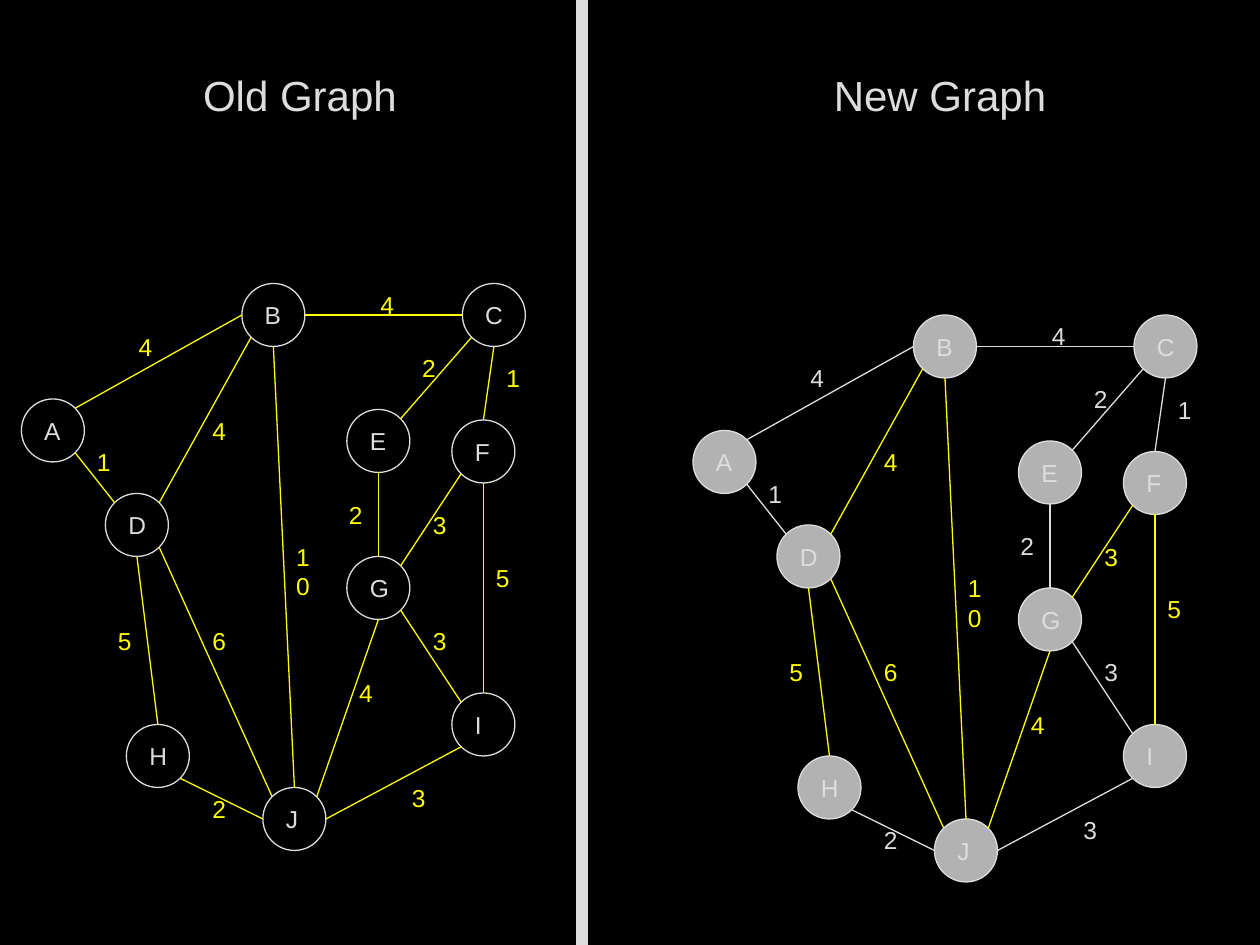
import math
import pptx
import pptx.dml.color
import pptx.enum.shapes
import pptx.enum.text
import pptx.oxml
import pptx.util
from pptx.util import Inches

BLACK = pptx.dml.color.RGBColor(0x00, 0x00, 0x00)
PALE = pptx.dml.color.RGBColor(0xDD, 0xDD, 0xDD)
GRAY = pptx.dml.color.RGBColor(0xB2, 0xB2, 0xB2)
YELLOW = pptx.dml.color.RGBColor(0xFF, 0xFF, 0x00)

UNIT = Inches(1) / 12
DIAMETER = Inches(0.5)
SITES = ["top", "top left", "left", "bottom left",
         "bottom", "bottom right", "right", "top right"]

# name: column, row, letter width
NODES = {
    "A": (0, 11, 0.34), "B": (21, 0, 0.33), "C": (42, 0, 0.33),
    "D": (8, 20, 0.34), "E": (31, 12, 0.32), "F": (41, 13, 0.31),
    "G": (31, 26, 0.34), "H": (10, 42, 0.34), "I": (41, 39, 0.27),
    "J": (23, 48, 0.28),
}

EDGES = [
    ("B", "right", "C", "left", "4", 33, 0),
    ("B", "bottom left", "D", "top right", "4", 17, 12),
    ("D", "bottom right", "J", "top left", "6", 17, 32),
    ("J", "top right", "G", "bottom", "4", 31, 37),
    ("F", "bottom left", "G", "top right", "3", 38, 21),
    ("E", "bottom", "G", "top", "2", 30, 20),
    ("B", "bottom", "J", "top", "10", 25, 24),
    ("C", "bottom left", "E", "top right", "2", 37, 6),
    ("C", "bottom", "F", "top", "1", 45, 7),
    ("J", "right", "I", "bottom left", "3", 36, 47),
    ("J", "left", "H", "bottom right", "2", 17, 48),
    ("D", "top left", "A", "bottom right", "1", 6, 15),
    ("I", "top left", "G", "bottom right", "3", 38, 32),
    ("F", "bottom", "I", "top", "5", 44, 26),
    ("A", "top right", "B", "left", "4", 10, 4),
    ("D", "bottom", "H", "top", "5", 8, 32),
]
ALL_EDGES = {edge[0] + edge[2] for edge in EDGES}
REMAINING_EDGES = {"BD", "DJ", "JG", "FG", "BJ", "FI", "DH"}


def add_text(slide, text, left, top, width, height, size, color, wrap=False):
    box = slide.shapes.add_textbox(round(left), round(top), width, height)
    frame = box.text_frame
    frame.text = text
    frame.word_wrap = wrap
    frame.auto_size = pptx.enum.text.MSO_AUTO_SIZE.SHAPE_TO_FIT_TEXT
    font = frame.paragraphs[0].runs[0].font
    font.name = "Arial"
    font.size = pptx.util.Pt(size)
    font.color.rgb = color
    return frame.paragraphs[0]


def add_heading(slide, text, left, top):
    heading = add_text(slide, text, left, top, Inches(2.92), Inches(0.5),
                       24, PALE, wrap=True)
    heading.alignment = pptx.enum.text.PP_ALIGN.CENTER


def add_outlined(slide, kind, left, top, width, height, fill):
    shape = slide.shapes.add_shape(kind, round(left), round(top), width, height)
    shape.shadow.inherit = False
    if fill is None:
        shape.fill.background()
    else:
        shape.fill.solid()
        shape.fill.fore_color.rgb = fill
    shape.line.color.rgb = PALE
    shape.line.width = pptx.util.Pt(0.75)


def site_point(left, top, node, site):
    column, row, _ = NODES[node]
    angle = math.radians(90 + 45 * SITES.index(site))
    radius = DIAMETER / 2
    return (round(left + column * UNIT + radius * (1 + math.cos(angle))),
            round(top + row * UNIT + radius * (1 - math.sin(angle))))


def add_edge(slide, start, end, color):
    edge = slide.shapes.add_connector(
        pptx.enum.shapes.MSO_CONNECTOR.STRAIGHT, *start, *end)
    edge.line.color.rgb = color
    edge.line.width = pptx.util.Pt(0.75)
    edge._element.spPr.append(pptx.oxml.parse_xml(
        '<a:effectLst xmlns:a='
        '"http://schemas.openxmlformats.org/drawingml/2006/main"/>'))


def add_graph(slide, left, top, node_fill, yellow_edges):
    for column, row, _ in NODES.values():
        add_outlined(slide, pptx.enum.shapes.MSO_SHAPE.OVAL,
                     left + column * UNIT, top + row * UNIT,
                     DIAMETER, DIAMETER, node_fill)
    for source, source_site, target, target_site, weight, column, row in EDGES:
        color = YELLOW if source + target in yellow_edges else PALE
        add_edge(slide, site_point(left, top, source, source_site),
                 site_point(left, top, target, target_site), color)
        two_digits = len(weight) > 1
        add_text(slide, weight, left + column * UNIT, top + row * UNIT,
                 Inches(0.4 if two_digits else 0.3), Inches(0.33),
                 14, color, wrap=two_digits)
    for name, (column, row, width) in NODES.items():
        add_text(slide, name, left + (column + 1) * UNIT,
                 top + (row + 1) * UNIT, Inches(width), Inches(0.33), 14, PALE)


def main():
    deck = pptx.Presentation()
    deck.slide_width, deck.slide_height = Inches(10), Inches(7.5)
    slide = deck.slides.add_slide(deck.slide_layouts.get_by_name("Blank"))
    slide.background.fill.solid()
    slide.background.fill.fore_color.rgb = BLACK

    add_outlined(slide, pptx.enum.shapes.MSO_SHAPE.RECTANGLE,
                 Inches(4.58), 0, Inches(0.08), deck.slide_height, PALE)
    add_heading(slide, "Old Graph", Inches(0.92), Inches(0.5))
    add_graph(slide, Inches(0.17), Inches(2.25), None, ALL_EDGES)
    add_heading(slide, "New Graph", Inches(6), Inches(0.5))
    add_graph(slide, Inches(5.5), Inches(2.5), GRAY, REMAINING_EDGES)
    deck.save("out.pptx")


if __name__ == "__main__":
    main()
